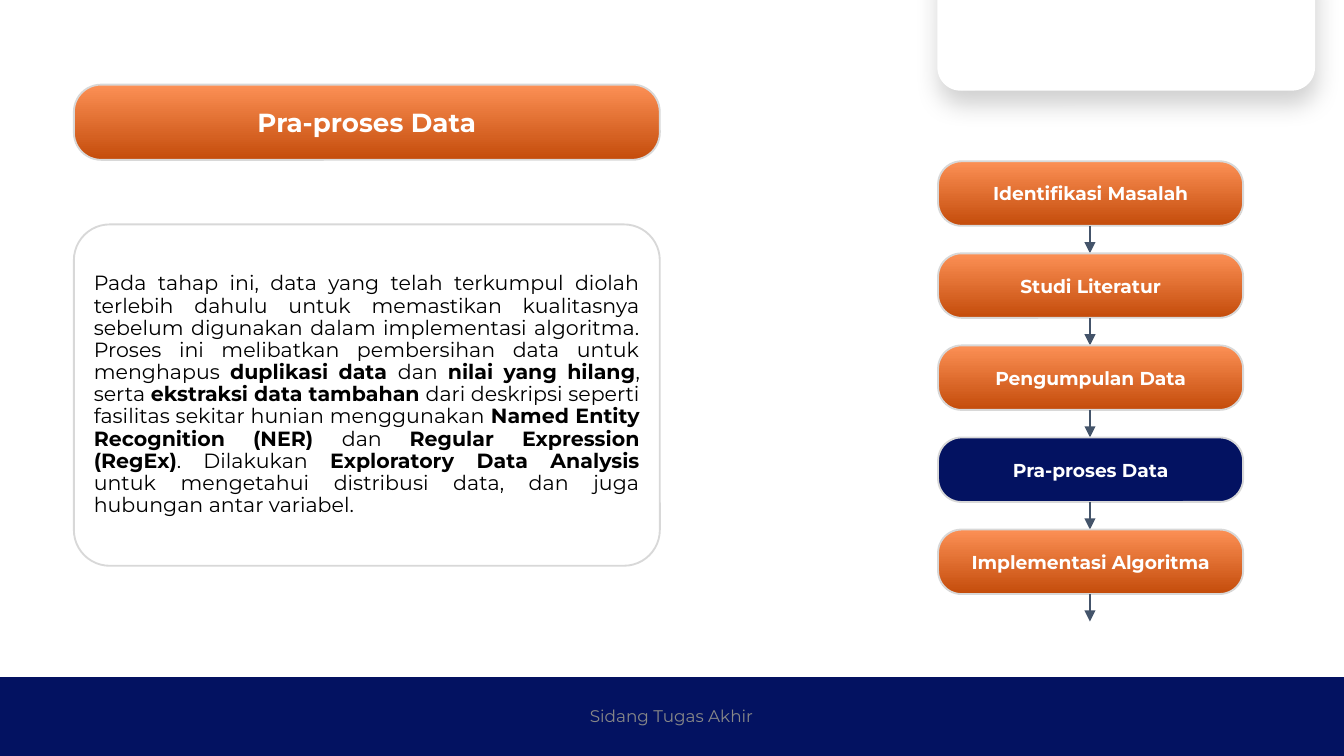
from lxml import etree
from pptx import Presentation
from pptx.dml.color import RGBColor
from pptx.enum.shapes import MSO_CONNECTOR, MSO_SHAPE
from pptx.enum.text import MSO_ANCHOR, PP_ALIGN
from pptx.oxml import parse_xml
from pptx.oxml.ns import nsdecls, qn
from pptx.util import Inches, Pt

NAVY = RGBColor(0x03, 0x12, 0x61)
ORANGE = RGBColor(0xFC, 0x90, 0x55)
RUST = RGBColor(0xC4, 0x4C, 0x0B)
WHITE = RGBColor(0xFF, 0xFF, 0xFF)
BLACK = RGBColor(0x00, 0x00, 0x00)
SILVER = RGBColor(0xD8, 0xD8, 0xD8)
GRAY = RGBColor(0x88, 0x88, 0x88)
SLATE = RGBColor(0x44, 0x54, 0x6A)


def add_box(left, top, width, height, fill=None, line=SILVER, line_width=1, corner=None):
    """Add a rectangle, rounded if corner is given; no fill means the orange gradient."""
    kind = MSO_SHAPE.RECTANGLE if corner is None else MSO_SHAPE.ROUNDED_RECTANGLE
    shape = slide.shapes.add_shape(kind, Inches(left), Inches(top), Inches(width), Inches(height))
    shape.shadow.inherit = False
    if corner is not None:
        shape.adjustments[0] = corner
    if fill is None:
        shape.fill.gradient()
        shape.fill.gradient_angle = 270
        for stop, color, position in zip(shape.fill.gradient_stops, (ORANGE, RUST), (0, 1)):
            stop.color.rgb = color
            stop.position = position
    else:
        shape.fill.solid()
        shape.fill.fore_color.rgb = fill
    shape.line.color.rgb = line
    shape.line.width = Pt(line_width)
    return shape


def write_text(shape, *texts, size, color=WHITE, bold=False, align=PP_ALIGN.CENTER, spacing=None):
    """Write one paragraph; every second text has the opposite weight."""
    frame = shape.text_frame
    frame.word_wrap = True
    frame.vertical_anchor = MSO_ANCHOR.MIDDLE
    frame.margin_left = frame.margin_right = Inches(0.07)
    frame.margin_top = frame.margin_bottom = Inches(0.04)
    paragraph = frame.paragraphs[0]
    paragraph.alignment = align
    paragraph.line_spacing = spacing
    for index, text in enumerate(texts):
        run = paragraph.add_run()
        run.text = text
        run.font.name = "Montserrat"
        run.font.size = Pt(size)
        run.font.bold = bold != (index % 2 == 1)
        run.font.color.rgb = color


presentation = Presentation()
presentation.slide_width = Inches(10)
presentation.slide_height = Inches(10 * 9 / 16)
slide = presentation.slides.add_slide(presentation.slide_layouts[6])

# Footer band and the card hanging from the top edge
add_box(-0.28, 5.04, 10.61, 0.8, fill=NAVY, line=NAVY, line_width=0.75)
card = add_box(6.98, -0.34, 2.8, 1.01, fill=WHITE, line=WHITE, line_width=0.75, corner=0.167)
effects = card._element.spPr.find(qn("a:effectLst"))
effects.append(parse_xml(
    f'<a:outerShdw {nsdecls("a")} blurRad="{Pt(13.5)}" dist="{Pt(7.5)}" dir="{84 * 60000}"'
    ' algn="t" rotWithShape="0"><a:srgbClr val="000000"><a:alpha val="19000"/></a:srgbClr>'
    '</a:outerShdw>'))

# Title and description
description = add_box(0.55, 1.67, 4.36, 2.54, fill=WHITE, corner=0.105)
write_text(
    description,
    "Pada tahap ini, data yang telah terkumpul diolah terlebih dahulu untuk memastikan "
    "kualitasnya sebelum digunakan dalam implementasi algoritma. Proses ini melibatkan "
    "pembersihan data untuk menghapus ",
    "duplikasi data ", "dan ", "nilai yang hilang", ", serta ", "ekstraksi data tambahan",
    " dari deskripsi seperti fasilitas sekitar hunian menggunakan ",
    "Named Entity Recognition (NER) ", "dan ", "Regular Expression (RegEx)", ". Dilakukan ",
    "Exploratory Data Analysis ",
    "untuk mengetahui distribusi data, dan juga hubungan antar variabel.",
    size=11, color=BLACK, align=PP_ALIGN.JUSTIFY, spacing=0.9)
title = add_box(0.55, 0.63, 4.36, 0.56, corner=0.363)
write_text(title, "Pra-proses Data", size=14, bold=True)

# Research steps, each followed by an arrow down
STEPS = ["Identifikasi Masalah", "Studi Literatur", "Pengumpulan Data",
         "Pra-proses Data", "Implementasi Algoritma"]
CURRENT_STEP = "Pra-proses Data"
FIRST_TOP, LAST_TOP, STEP_HEIGHT = 1.2, 3.94, 0.48
pitch = (LAST_TOP - FIRST_TOP) / (len(STEPS) - 1)
arrow_x = Inches(8.11)

for index, label in enumerate(STEPS):
    top = FIRST_TOP + index * pitch
    step = add_box(6.98, top, 2.27, STEP_HEIGHT, corner=0.363,
                   fill=NAVY if label == CURRENT_STEP else None)
    write_text(step, label, size=10, bold=True)
    arrow = slide.shapes.add_connector(
        MSO_CONNECTOR.STRAIGHT, arrow_x, Inches(top + STEP_HEIGHT), arrow_x, Inches(top + pitch))
    arrow.line.color.rgb = SLATE
    arrow.line.width = Pt(1.5)
    etree.SubElement(arrow.line._get_or_add_ln(), qn("a:tailEnd"), type="triangle")
    etree.SubElement(arrow._element.spPr, qn("a:effectLst"))

footer = slide.shapes.add_textbox(Inches(3.02), Inches(5.18), Inches(3.95), Inches(0.3))
write_text(footer, "Sidang Tugas Akhir", size=9, color=GRAY)

presentation.save("out.pptx")
